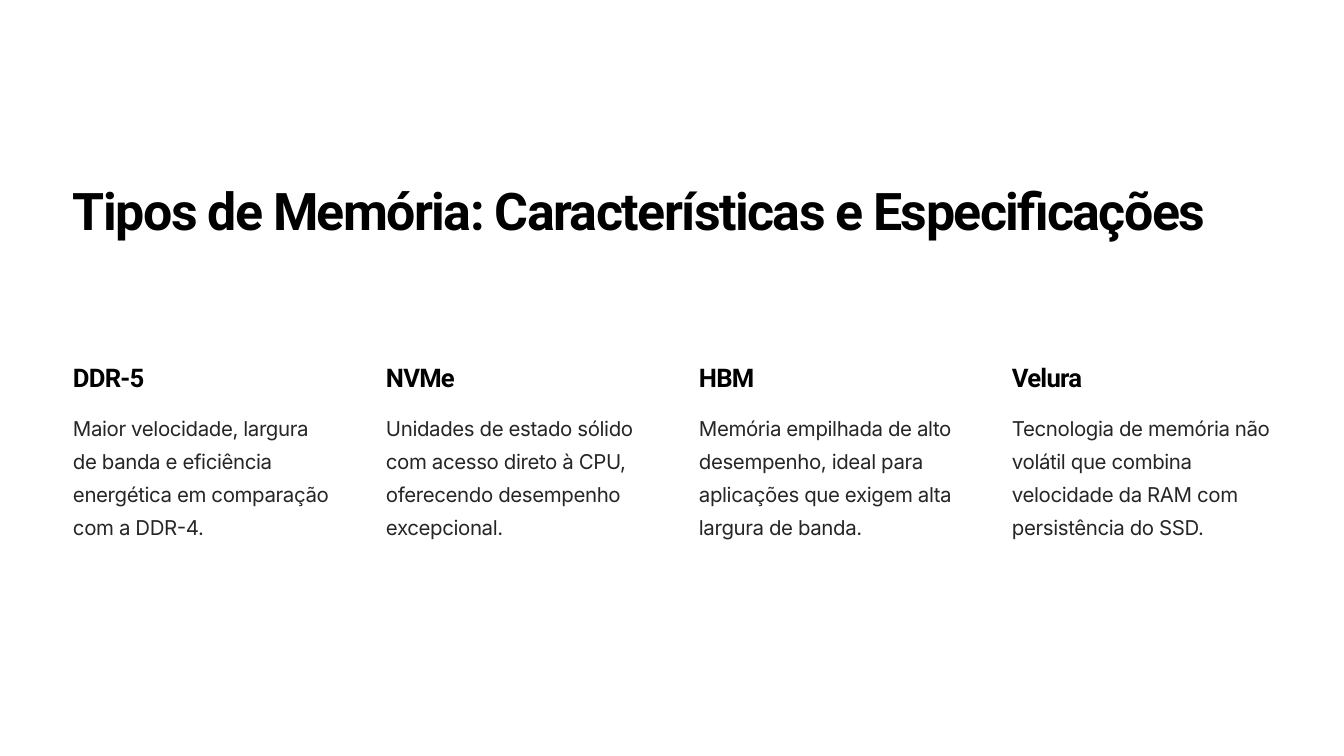
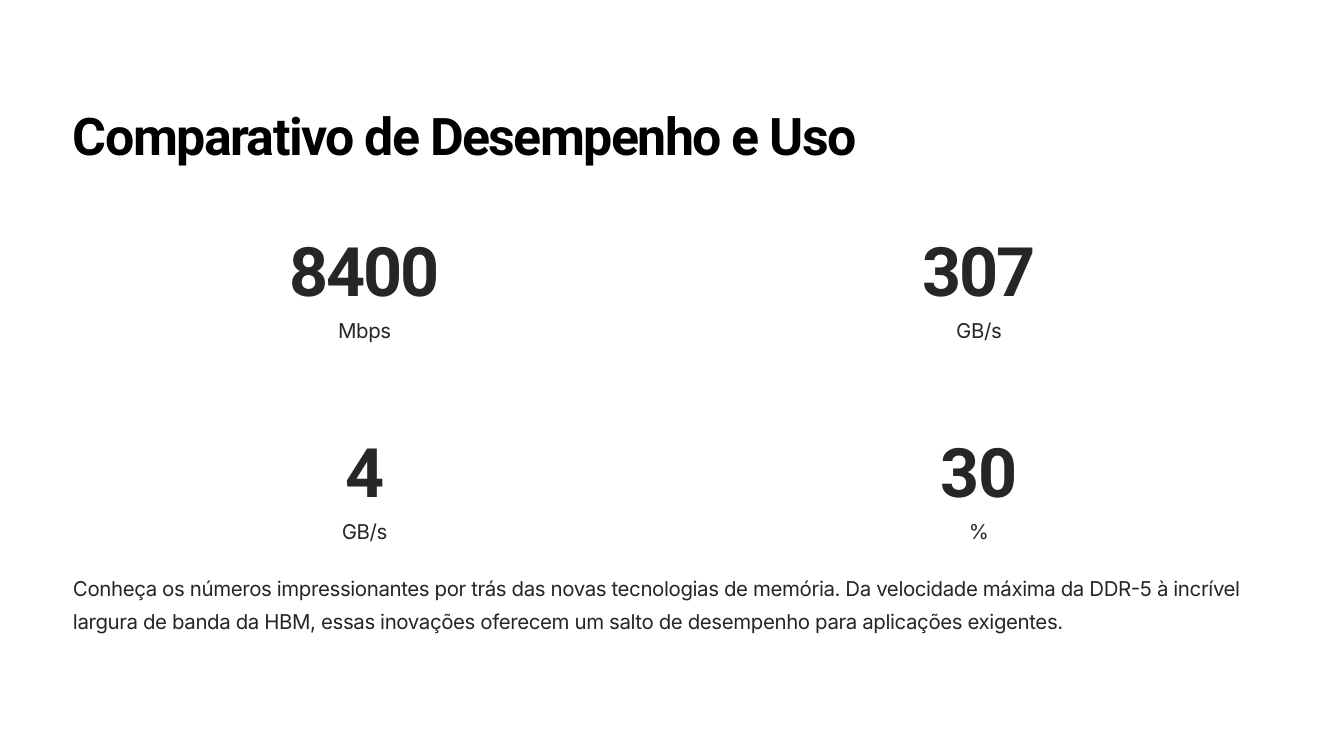
from dataclasses import dataclass

from pptx import Presentation
from pptx.dml.color import RGBColor
from pptx.enum.shapes import MSO_SHAPE as Shape
from pptx.enum.text import MSO_AUTO_SIZE as AutoSize, PP_ALIGN as Align
from pptx.util import Cm, Pt


@dataclass(frozen=True)
class TextStyle:
    font: str
    size: float
    leading: float
    tracking: float
    color: RGBColor
    bold: bool = True


class Theme:
    black = RGBColor(0x00, 0x00, 0x00)
    ink = RGBColor(0x27, 0x25, 0x25)
    paper = RGBColor(0xFF, 0xFF, 0xFF)

    title = TextStyle("Roboto", 55.6, 69.4, -1.67, black)
    heading = TextStyle("Roboto", 27.5, 34.4, -0.83, black)
    figure = TextStyle("Roboto", 73.1, 73.1, -2.19, ink)
    body = TextStyle("Inter", 21.9, 35.63, -0.44, ink, bold=False)

    # Lengths in centimetres
    slide_width, slide_height = 50.8, 28.58
    margin, content_width = 2.76, 45.29


class Deck:
    def __init__(self, theme):
        self.theme = theme
        self.prs = Presentation()
        self.prs.slide_width = Cm(theme.slide_width)
        self.prs.slide_height = Cm(theme.slide_height)
        self.slide = None

    def new_slide(self):
        self.slide = self.prs.slides.add_slide(self.prs.slide_layouts[6])
        self.page()

    def page(self):
        page = self.slide.shapes.add_shape(
            Shape.RECTANGLE, 0, 0, self.prs.slide_width, self.prs.slide_height)
        page.shadow.inherit = False
        page.fill.solid()
        page.fill.fore_color.rgb = self.theme.paper
        page.line.fill.background()

    def text(self, words, style, left, top, width, height, align=Align.LEFT):
        box = self.slide.shapes.add_textbox(Cm(left), Cm(top), Cm(width), Cm(height))
        frame = box.text_frame
        frame.margin_left = frame.margin_right = 0
        frame.margin_top = frame.margin_bottom = 0
        frame.word_wrap = True
        frame.auto_size = AutoSize.SHAPE_TO_FIT_TEXT
        frame.text = words
        paragraph = frame.paragraphs[0]
        paragraph.alignment = align
        paragraph.line_spacing = Pt(style.leading)
        run = paragraph.runs[0]
        run.font.name = style.font
        run.font.size = Pt(style.size)
        run.font.bold = style.bold
        run.font.color.rgb = style.color
        # Letter spacing is stored in hundredths of a point
        run._r.get_or_add_rPr().set("spc", str(round(style.tracking * 100)))

    def title(self, words, top, width, height):
        self.text(words, self.theme.title, self.theme.margin, top, width, height)

    def memory_type(self, name, description, left, top, width):
        self.text(name, self.theme.heading, left, top, width, 1.45)
        self.text(description, self.theme.body, left, top + 1.75, width, 5.51)

    def statistic(self, value, unit, left, top, width):
        self.text(value, self.theme.figure, left, top, width, 2.01, Align.CENTER)
        self.text(unit, self.theme.body, left, top + 2.53, width, 1.73, Align.CENTER)

    def note(self, words, top, height):
        self.text(words, self.theme.body, self.theme.margin, top,
                  self.theme.content_width, height)


MEMORY_TYPES = [
    ("DDR-5", "Maior velocidade, largura de banda e eficiência energética "
              "em comparação com a DDR-4."),
    ("NVMe", "Unidades de estado sólido com acesso direto à CPU, "
             "oferecendo desempenho excepcional."),
    ("HBM", "Memória empilhada de alto desempenho, ideal para aplicações "
            "que exigem alta largura de banda."),
    ("Velura", "Tecnologia de memória não volátil que combina velocidade "
               "da RAM com persistência do SSD."),
]

STATISTICS = [("8400", "Mbps"), ("307", "GB/s"), ("4", "GB/s"), ("30", "%")]


def memory_types_slide(deck):
    deck.new_slide()
    deck.title("Tipos de Memória: Características e Especificações",
               6.65, deck.theme.content_width, 5.23)

    # Four equal columns
    column_width, column_pitch = 9.88, 11.83
    for column, (name, description) in enumerate(MEMORY_TYPES):
        left = deck.theme.margin + column * column_pitch
        deck.memory_type(name, description, left, 13.64, column_width)


def performance_slide(deck):
    deck.new_slide()
    deck.title("Comparativo de Desempenho e Uso", 3.84, 32.49, 2.77)

    # Two-by-two grid of figures
    cell_width, column_pitch, row_pitch = 22.05, 23.22, 7.6
    for index, (value, unit) in enumerate(STATISTICS):
        row, column = divmod(index, 2)
        deck.statistic(value, unit, deck.theme.margin + column * column_pitch,
                       9.16 + row * row_pitch, cell_width)

    # Closing note
    deck.note("Conheça os números impressionantes por trás das novas tecnologias "
              "de memória. Da velocidade máxima da DDR-5 à incrível largura de "
              "banda da HBM, essas inovações oferecem um salto de desempenho "
              "para aplicações exigentes.", 21.44, 3)


def main():
    deck = Deck(Theme())
    memory_types_slide(deck)
    performance_slide(deck)
    deck.prs.save("out.pptx")


if __name__ == "__main__":
    main()
